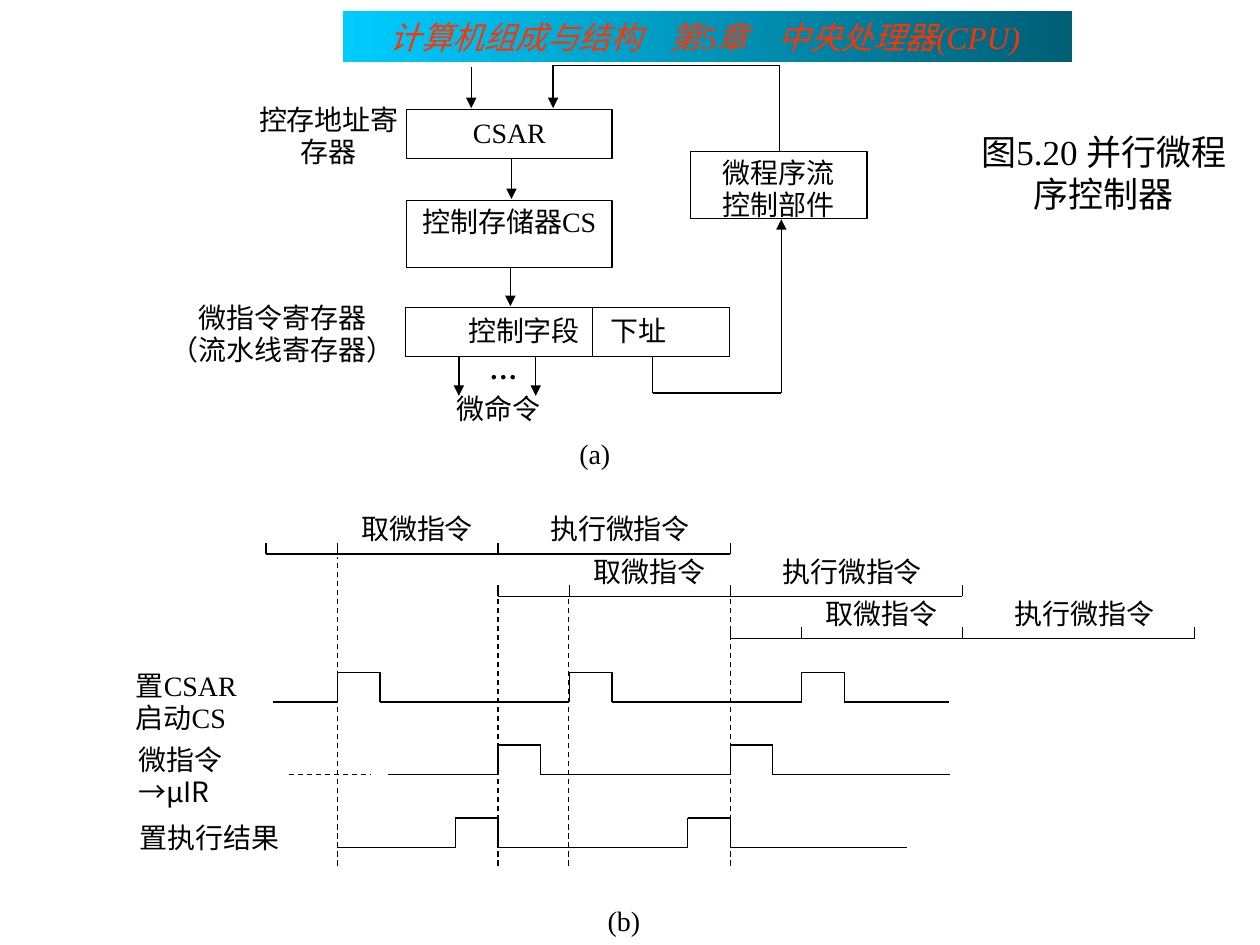
from itertools import pairwise

from lxml import etree
from pptx import Presentation
from pptx.dml.color import RGBColor
from pptx.enum.dml import MSO_LINE
from pptx.enum.shapes import MSO_CONNECTOR, MSO_SHAPE
from pptx.enum.text import MSO_ANCHOR, MSO_AUTO_SIZE, PP_ALIGN
from pptx.oxml.ns import qn
from pptx.util import Cm, Pt

BLACK = RGBColor(0x00, 0x00, 0x00)
WHITE = RGBColor(0xFF, 0xFF, 0xFF)
ORANGE_RED = RGBColor(0xFF, 0x33, 0x00)
CYAN = RGBColor(0x00, 0xCC, 0xFF)
DARK_TEAL = RGBColor(0x00, 0x5E, 0x75)

LEFT, CENTER, RIGHT = PP_ALIGN.LEFT, PP_ALIGN.CENTER, PP_ALIGN.RIGHT
JUSTIFY = PP_ALIGN.JUSTIFY
TOP = MSO_ANCHOR.TOP
NO_AUTOFIT = MSO_AUTO_SIZE.NONE
RECTANGLE = MSO_SHAPE.RECTANGLE
STRAIGHT = MSO_CONNECTOR.STRAIGHT
DASH = MSO_LINE.DASH

SERIF = "Times New Roman"
SANS = "Noto Sans CJK SC"

CYCLE = 4.68
FIRST_CYCLE = 5.36
PULSE_WIDTH = 0.86
PULSE_HEIGHT = 0.6


class FigureSlide:
    def __init__(self, presentation):
        self.slide = presentation.slides.add_slide(presentation.slide_layouts[5])
        self.shapes = self.slide.shapes

    def set_text(self, shape, text, align=CENTER, size=16, color=BLACK, spacing=0.96):
        frame = shape.text_frame
        frame.text = text
        frame.word_wrap = True
        frame.auto_size = NO_AUTOFIT
        frame.vertical_anchor = TOP
        for paragraph in frame.paragraphs:
            paragraph.alignment = align
            paragraph.line_spacing = spacing
            paragraph.font.size = Pt(size)
            paragraph.font.name = SERIF
            paragraph.font.color.rgb = color
        return frame

    def title(self, text, left, top, width, height):
        shape = self.shapes.title
        shape.left, shape.top = Cm(left), Cm(top)
        shape.width, shape.height = Cm(width), Cm(height)
        self.set_text(shape, text, size=20, spacing=1.0)

    def banner(self, text, left, top, width, height, indent, tabs):
        shape = self.shapes.add_shape(RECTANGLE, Cm(left), Cm(top), Cm(width), Cm(height))
        shape.shadow.inherit = False
        shape.line.fill.background()
        shape.fill.gradient()
        shape.fill.gradient_angle = 0
        for stop, color in zip(shape.fill.gradient_stops, (CYAN, DARK_TEAL)):
            stop.color.rgb = color
        frame = self.set_text(shape, text, LEFT, 18, ORANGE_RED, 1.0)
        frame.margin_left = Cm(indent)
        paragraph = frame.paragraphs[0]
        paragraph.font.italic = True
        tab_list = etree.Element(qn("a:tabLst"))
        for position in tabs:
            etree.SubElement(tab_list, qn("a:tab"), pos=str(Cm(position)), algn="l")
        paragraph._p.pPr.find(qn("a:defRPr")).addprevious(tab_list)

    def box(self, text, left, top, width, height, align=CENTER, spacing=0.96):
        shape = self.shapes.add_shape(RECTANGLE, Cm(left), Cm(top), Cm(width), Cm(height))
        shape.shadow.inherit = False
        shape.fill.solid()
        shape.fill.fore_color.rgb = WHITE
        shape.line.color.rgb = BLACK
        shape.line.width = Pt(0.75)
        return self.set_text(shape, text, align, spacing=spacing)

    def label(self, text, left, top, width, height=0.91, align=CENTER):
        shape = self.shapes.add_textbox(Cm(left), Cm(top), Cm(width), Cm(height))
        return self.set_text(shape, text, align)

    def line(self, start, end, arrow=False, dashed=False):
        connector = self.shapes.add_connector(STRAIGHT, *map(Cm, start + end))
        connector.line.color.rgb = BLACK
        connector.line.width = Pt(0.75)
        if dashed:
            connector.line.dash_style = DASH
        if arrow:
            outline = connector._element.spPr.find(qn("a:ln"))
            etree.SubElement(outline, qn("a:tailEnd"), type="triangle")
        etree.SubElement(connector._element.spPr, qn("a:effectLst"))

    def polyline(self, points, arrow=False):
        segments = list(pairwise(points))
        for number, (start, end) in enumerate(segments, 1):
            self.line(start, end, arrow and number == len(segments))

    def waveform(self, start, end, base, pulses):
        points = [(start, base)]
        for rise in pulses:
            fall, high = rise + PULSE_WIDTH, base - PULSE_HEIGHT
            points += [(rise, base), (rise, high), (fall, high), (fall, base)]
        self.polyline(points + [(end, base)])

    def timeline(self, start, base):
        ticks = (start, start + 1.44, start + CYCLE, start + 2 * CYCLE)
        self.line((start, base), (ticks[-1], base))
        for tick in ticks:
            self.line((tick, base), (tick, base - 0.22))
        self.label("取微指令", start + 1.27, base - 0.93, 3.56)
        self.label("执行微指令", start + 4.93, base - 0.93, 4.42)


def draw_controller(figure):
    figure.label("控存地址寄存器", 4.85, 1.98, 3.56, 1.37)
    figure.label("微指令寄存器\n（流水线寄存器）", 2.74, 5.97, 5.92, 1.37)
    figure.label("微命令", 8.59, 7.82, 2.92)
    ellipsis = figure.label("…", 8.66, 7.01, 2.97, 1.02)
    ellipsis.paragraphs[0].font.bold = True
    figure.label("(a)", 10.21, 8.71, 3.56)

    figure.box("CSAR", 8.2, 2.21, 4.14, 0.99, spacing=1.0)
    figure.box("控制存储器CS", 8.2, 4.04, 4.14, 1.35)
    figure.box("控制字段", 8.18, 6.2, 3.76, 0.99, RIGHT, 1.0)
    address = figure.box("下址", 11.94, 6.2, 2.77, 0.99, LEFT, 1.0)
    address.margin_left = Cm(0.36)
    figure.box("微程序流\n控制部件", 13.92, 3.05, 3.56, 1.35)

    for x, top, bottom in (
        (9.5, 1.35, 2.18),
        (10.31, 3.2, 4.01),
        (10.29, 5.39, 6.17),
        (9.25, 7.19, 7.98),
        (10.8, 7.19, 7.98),
    ):
        figure.line((x, top), (x, bottom), arrow=True)
    figure.polyline([(15.72, 3.05), (15.72, 1.32), (11.15, 1.32), (11.15, 2.18)], arrow=True)
    figure.polyline([(13.16, 7.19), (13.16, 7.92), (15.75, 7.92), (15.75, 4.42)], arrow=True)


def draw_timing(figure):
    for lane in range(3):
        figure.timeline(FIRST_CYCLE + lane * CYCLE, 11.17 + lane * 0.85)
    for x, top in ((6.8, 11.23), (10.04, 12.01), (11.46, 12.01), (14.72, 12.01)):
        figure.line((x, 17.45), (x, top), dashed=True)

    for row, (start, end, first_pulse, count) in enumerate(
        ((5.51, 19.13, 6.8, 3), (7.82, 19.15, 10.04, 2), (6.8, 18.29, 9.18, 2))
    ):
        pulses = [first_pulse + number * CYCLE for number in range(count)]
        figure.waveform(start, end, 14.15 + row * 1.47, pulses)
    figure.line((5.82, 15.62), (7.47, 15.62), dashed=True)

    figure.label("置CSAR\n启动CS", 2.49, 13.39, 3.56, 1.37, JUSTIFY)
    register = figure.label("微指令\n→μIR", 2.54, 14.88, 3.56, 1.37, JUSTIFY)
    register.paragraphs[1].font.name = SANS
    figure.label("置执行结果", 2.57, 16.46, 4.11, 0.99, JUSTIFY)
    figure.label("(b)", 10.8, 18.14, 3.56)


def main():
    presentation = Presentation()
    presentation.slide_width, presentation.slide_height = Cm(25.4), Cm(19.05)
    figure = FigureSlide(presentation)
    figure.banner(
        "计算机组成与结构\t第5章\t中央处理器(CPU)", 6.91, 0.23, 14.71, 1.02, 0.95, (5.64, 7.84)
    )
    figure.title("图5.20 并行微程序控制器", 19.51, 2.51, 5.49, 3.0)
    draw_controller(figure)
    draw_timing(figure)
    presentation.save("out.pptx")


if __name__ == "__main__":
    main()
